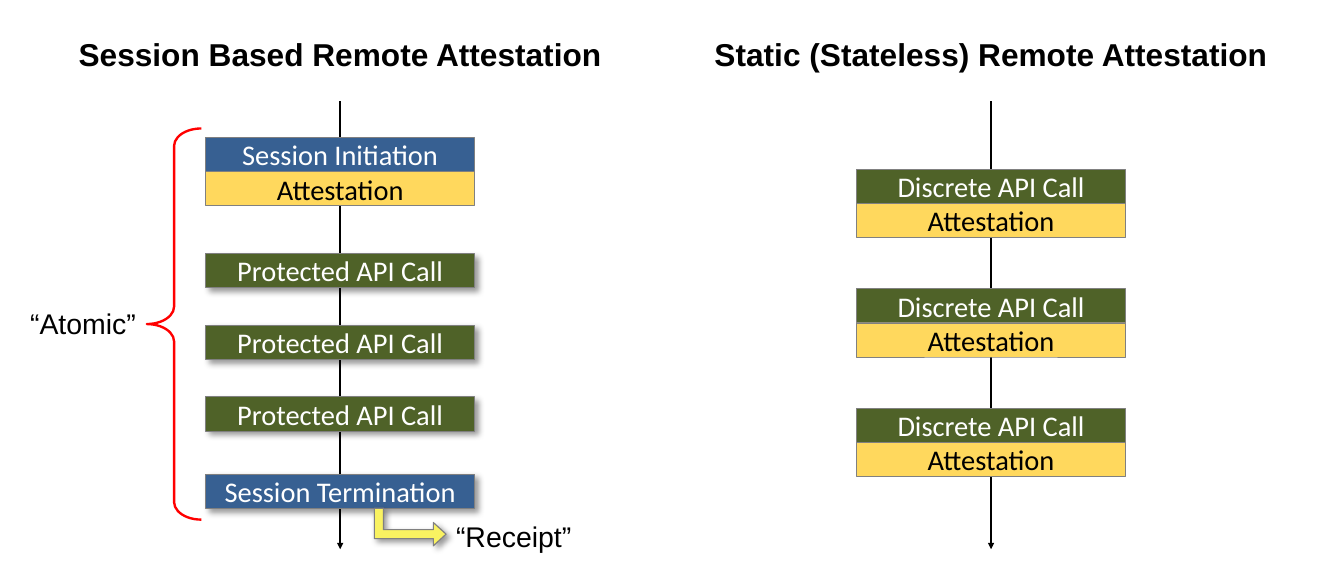
from lxml import etree
from pptx import Presentation
from pptx.dml.color import RGBColor
from pptx.enum.shapes import MSO_CONNECTOR, MSO_SHAPE
from pptx.enum.text import MSO_ANCHOR, PP_ALIGN
from pptx.oxml.ns import qn
from pptx.util import Inches, Pt

STRAIGHT = MSO_CONNECTOR.STRAIGHT
RECTANGLE = MSO_SHAPE.RECTANGLE
BENT_ARROW = MSO_SHAPE.BENT_UP_ARROW
LEFT_BRACE = MSO_SHAPE.LEFT_BRACE
MIDDLE = MSO_ANCHOR.MIDDLE
CENTER = PP_ALIGN.CENTER

BLACK = RGBColor(0x00, 0x00, 0x00)
WHITE = RGBColor(0xFF, 0xFF, 0xFF)
GRAY = RGBColor(0x80, 0x80, 0x80)
BLUE = RGBColor(0x37, 0x60, 0x92)
GREEN = RGBColor(0x4F, 0x62, 0x28)
GOLD = RGBColor(0xFF, 0xD8, 0x5D)
YELLOW = RGBColor(0xF9, 0xF2, 0x61)
RED = RGBColor(0xFF, 0x00, 0x00)

CM_PER_INCH = 2.54
BAND_WIDTH, BAND_HEIGHT = 2.36, 0.3


def write(shape, text, size, font, color, bold=False):
    frame = shape.text_frame
    frame.word_wrap = False
    paragraph = frame.paragraphs[0]
    paragraph.alignment = CENTER
    run = paragraph.add_run()
    run.text = text
    run.font.size = Pt(size)
    run.font.name = font
    run.font.bold = bold
    run.font.color.rgb = color


def add_label(slide, box, text, size=18, bold=False):
    label = slide.shapes.add_textbox(*map(Inches, box))
    write(label, text, size, "Arial", BLACK, bold)


def add_shadow(shape):
    effects = shape._element.spPr.find(qn("a:effectLst"))
    shadow = etree.SubElement(effects, qn("a:outerShdw"), blurRad=str(Pt(4)),
                              dist=str(Pt(3)), dir="2700000", algn="tl", rotWithShape="0")
    color = etree.SubElement(shadow, qn("a:srgbClr"), val=str(BLACK))
    etree.SubElement(color, qn("a:alpha"), val="40000")


def add_outlined(slide, preset, box, fill, line, weight, shadow=False):
    shape = slide.shapes.add_shape(preset, *map(Inches, box))
    shape.shadow.inherit = False
    if fill is None:
        shape.fill.background()
    else:
        shape.fill.solid()
        shape.fill.fore_color.rgb = fill
    shape.line.color.rgb = line
    shape.line.width = Pt(weight)
    if shadow:
        add_shadow(shape)
    return shape


def add_band(slide, axis, top, text, fill, color=WHITE, shadow=False):
    box = (axis - BAND_WIDTH / 2, top, BAND_WIDTH, BAND_HEIGHT)
    band = add_outlined(slide, RECTANGLE, box, fill, GRAY, 0.5, shadow)
    frame = band.text_frame
    frame.margin_left = frame.margin_right = frame.margin_top = frame.margin_bottom = 0
    frame.vertical_anchor = MIDDLE
    write(band, text, 18, "Calibri", color)


def add_attested_call(slide, axis, top, text, fill):
    add_band(slide, axis, top, text, fill)
    add_band(slide, axis, top + BAND_HEIGHT, "Attestation", GOLD, BLACK)


def add_timeline(slide, box, heading):
    left, top, width, height = box
    axis = left + width / 2
    timeline = slide.shapes.add_connector(
        STRAIGHT, Inches(axis), Inches(top + 0.63), Inches(axis), Inches(top + height))
    timeline.line.color.rgb = BLACK
    timeline.line.width = Pt(1.25)
    properties = timeline._element.spPr
    etree.SubElement(properties.find(qn("a:ln")), qn("a:tailEnd"),
                     type="triangle", w="sm", len="sm")
    etree.SubElement(properties, qn("a:effectLst"))
    add_label(slide, (left, top, width, 0.44), heading, 20, True)
    return axis


def add_session_attestation(slide, box):
    left, top = box[:2]
    axis = add_timeline(slide, box, "Session Based Remote Attestation")
    add_attested_call(slide, axis, top + 0.95, "Session Initiation", BLUE)
    for call in range(3):
        add_band(slide, axis, top + 1.97 + call * 0.63, "Protected API Call", GREEN, shadow=True)
    add_band(slide, axis, top + 3.91, "Session Termination", BLUE, shadow=True)

    receipt_arrow = add_outlined(slide, BENT_ARROW, (axis + 0.45, top + 4.06, 0.33, 0.63),
                                 YELLOW, GRAY, 0.75, shadow=True)
    receipt_arrow.rotation = 90
    for index, value in enumerate((0.24, 0.31, 0.34)):
        receipt_arrow.adjustments[index] = value
    add_label(slide, (axis + 0.91, top + 4.26, 1.23, 0.4), "\u201cReceipt\u201d")

    atomic_brace = add_outlined(slide, LEFT_BRACE, (left + 1.29, top + 0.87, 0.48, 3.44),
                                None, RED, 1.5)
    atomic_brace.adjustments[0] = 0.32
    add_label(slide, (left + 0.16, top + 2.38, 1.14, 0.4), "\u201cAtomic\u201d")


def add_static_attestation(slide, box):
    axis = add_timeline(slide, box, "Static (Stateless) Remote Attestation")
    for call in range(3):
        add_attested_call(slide, axis, box[1] + 1.23 + call * 1.05, "Discrete API Call", GREEN)


presentation = Presentation()
presentation.slide_width = Inches(30 / CM_PER_INCH)
presentation.slide_height = Inches(13 / CM_PER_INCH)
attestation_slide = presentation.slides.add_slide(presentation.slide_layouts[6])
add_session_attestation(attestation_slide, (0, 0.26, 5.98, 4.57))
add_static_attestation(attestation_slide, (5.98, 0.26, 5.46, 4.57))
presentation.save("out.pptx")
